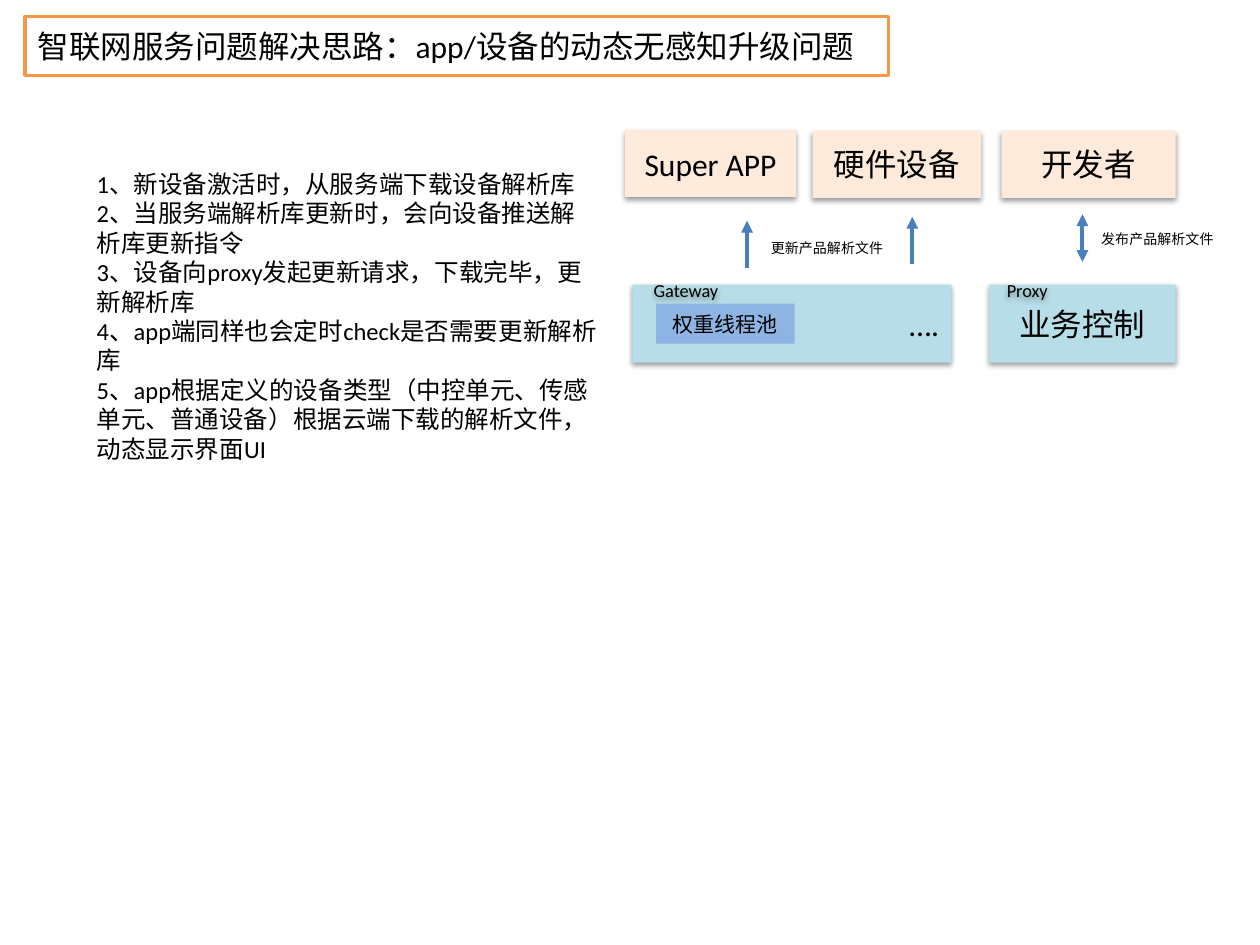
from dataclasses import dataclass
from typing import Any, Optional

from lxml.etree import SubElement
from pptx import Presentation
from pptx.dml.color import RGBColor
from pptx.enum.shapes import MSO_CONNECTOR, MSO_SHAPE
from pptx.enum.text import MSO_ANCHOR, MSO_AUTO_SIZE, PP_ALIGN
from pptx.oxml.ns import qn
from pptx.util import Cm, Pt

PEACH, TEAL, BLUE = "FDEADA", "B7DEE8", "8EB4E3"
ORANGE, ARROW_BLUE = "F79646", "4B7EBC"
LEFT, CENTER, RIGHT = PP_ALIGN.LEFT, PP_ALIGN.CENTER, PP_ALIGN.RIGHT


@dataclass
class Box:
    text: str
    left: float
    top: float
    width: float
    height: float
    size: float = 18
    fill: Optional[str] = None
    line: Optional[str] = None
    align: Any = CENTER
    shadow: bool = False
    grow: bool = False


@dataclass
class Arrow:
    x: float
    top: float
    double: bool = False


ARROW_LENGTH = 0.96

TITLE = Box("智联网服务问题解决思路：app/设备的动态无感知升级问题",
            0.51, 0.33, 17.4, 1.19, fill="FFFFFF", line=ORANGE, align=LEFT)
STEPS = Box("\n".join([
    "1、新设备激活时，从服务端下载设备解析库",
    "2、当服务端解析库更新时，会向设备推送解析库更新指令",
    "3、设备向proxy发起更新请求，下载完毕，更新解析库",
    "4、app端同样也会定时check是否需要更新解析库",
    "5、app根据定义的设备类型（中控单元、传感单元、普通设备）"
    "根据云端下载的解析文件，动态显示界面UI",
]), 1.7, 3.28, 10.59, 6.25, size=14, align=LEFT, grow=True)
CLIENTS = [
    Box("Super APP", 12.6, 2.62, 3.45, 1.35, fill=PEACH, shadow=True),
    Box("硬件设备", 16.38, 2.64, 3.4, 1.35, fill=PEACH, shadow=True),
    Box("开发者", 20.19, 2.64, 3.51, 1.35, fill=PEACH, shadow=True),
]
SERVICES = [
    [Box("业务控制", 19.94, 5.74, 3.76, 1.57, fill=TEAL, shadow=True),
     Box("Proxy", 19.86, 5.54, 1.7, 0.61, size=10.5, shadow=True)],
    [Box("….", 12.75, 5.74, 6.43, 1.57, fill=TEAL, align=RIGHT, shadow=True),
     Box("Gateway", 12.6, 5.54, 2.46, 0.61, size=10.5, shadow=True)],
]
THREAD_POOL = Box("权重线程池", 13.23, 6.12, 2.79, 0.81, size=12, fill=BLUE)
ARROW_LABELS = [
    Box("发布产品解析文件", 21.95, 4.52, 3.1, 0.61, size=8, align=LEFT, grow=True),
    Box("更新产品解析文件", 15.29, 4.7, 3.1, 0.61, size=8, align=LEFT, grow=True),
]
ARROWS = [Arrow(15.06, 4.45), Arrow(18.39, 4.37), Arrow(21.82, 4.32, double=True)]


def color(value: str) -> RGBColor:
    return RGBColor.from_string(value)


def apply(target: Any, values: dict) -> None:
    for name, value in values.items():
        setattr(target, name, value)


def add_shadow(sp: Any) -> None:
    effects = sp._element.spPr.find(qn("a:effectLst"))
    shadow = SubElement(effects, qn("a:outerShdw"), blurRad="40000",
                        dist="20000", dir="5400000", rotWithShape="0")
    black = SubElement(shadow, qn("a:srgbClr"), val="000000")
    SubElement(black, qn("a:alpha"), val="38000")


def add_box(shapes: Any, box: Box) -> None:
    place = [Cm(v) for v in (box.left, box.top, box.width, box.height)]
    if box.fill:
        sp = shapes.add_shape(MSO_SHAPE.RECTANGLE, *place)
        sp.fill.solid()
        sp.fill.fore_color.rgb = color(box.fill)
    else:
        sp = shapes.add_textbox(*place)
    if box.line:
        sp.line.color.rgb = color(box.line)
        sp.line.width = Pt(2)
    else:
        sp.line.fill.background()
    sp.shadow.inherit = False
    if box.shadow:
        add_shadow(sp)

    tf = sp.text_frame
    tf.text = box.text
    apply(tf, {
        "word_wrap": True,
        "vertical_anchor": MSO_ANCHOR.TOP if box.grow else MSO_ANCHOR.MIDDLE,
        "auto_size": (MSO_AUTO_SIZE.SHAPE_TO_FIT_TEXT if box.grow
                      else MSO_AUTO_SIZE.NONE),
    })
    for p in tf.paragraphs:
        p.alignment = box.align
        for r in p.runs:
            apply(r.font, {"name": "Calibri", "size": Pt(box.size)})
            r.font.color.rgb = color("000000")


def add_arrow(shapes: Any, arrow: Arrow) -> None:
    x = Cm(arrow.x)
    cxn = shapes.add_connector(MSO_CONNECTOR.STRAIGHT, x, Cm(arrow.top),
                               x, Cm(arrow.top + ARROW_LENGTH))
    cxn.line.color.rgb = color(ARROW_BLUE)
    cxn.line.width = Pt(2.25)
    ln = cxn.line._get_or_add_ln()
    for end in ("a:headEnd", "a:tailEnd") if arrow.double else ("a:headEnd",):
        SubElement(ln, qn(end), type="triangle")
    SubElement(cxn._element.spPr, qn("a:effectLst"))


def main() -> None:
    prs = Presentation()
    apply(prs, {"slide_width": Cm(25.4), "slide_height": Cm(19.05)})
    s = prs.slides.add_slide(prs.slide_layouts[6])
    for box in [TITLE, STEPS, *CLIENTS]:
        add_box(s.shapes, box)
    for service in SERVICES:
        group = s.shapes.add_group_shape()
        for box in service:
            add_box(group.shapes, box)
    for box in [THREAD_POOL, *ARROW_LABELS]:
        add_box(s.shapes, box)
    for arrow in ARROWS:
        add_arrow(s.shapes, arrow)
    prs.save("out.pptx")


if __name__ == "__main__":
    main()
